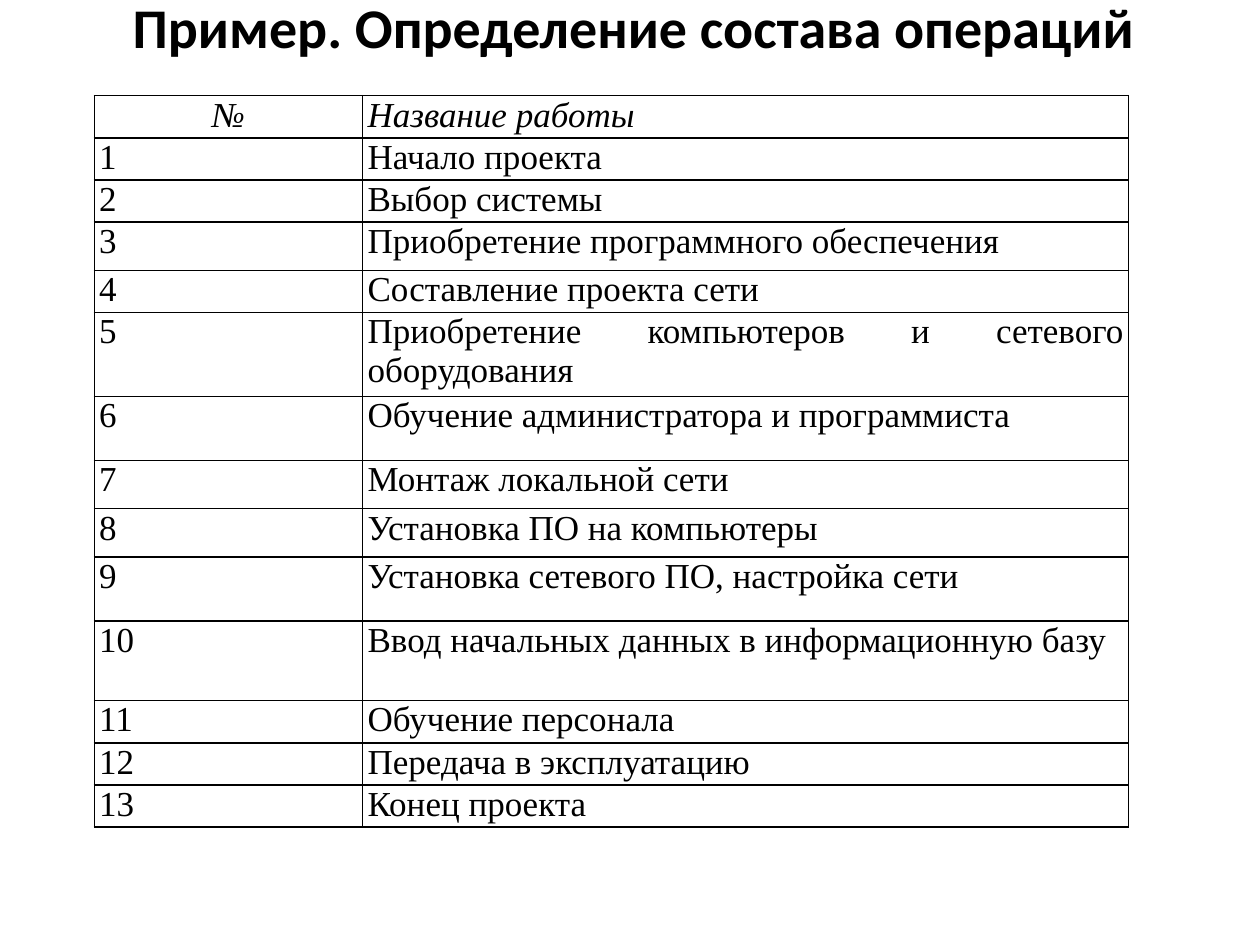
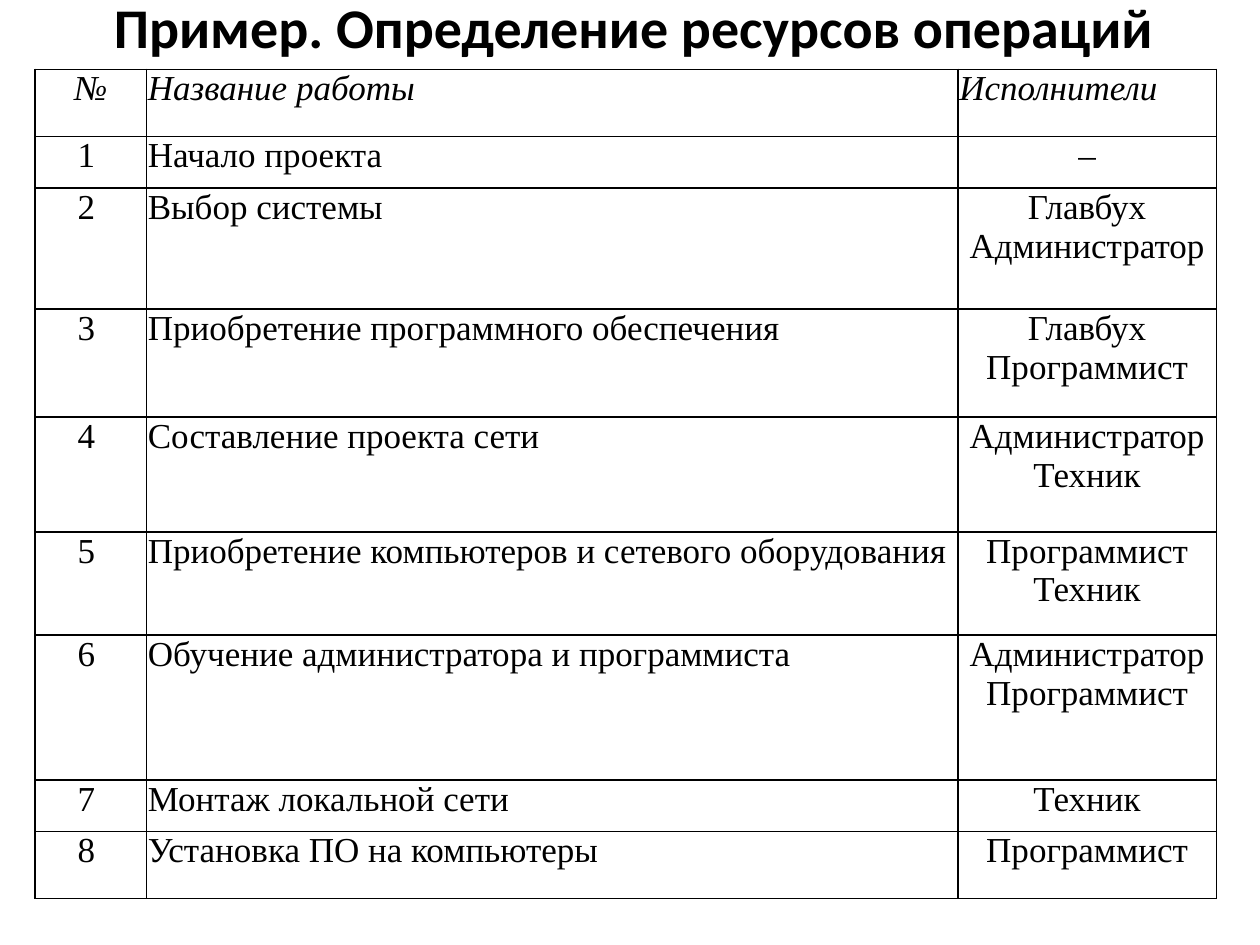
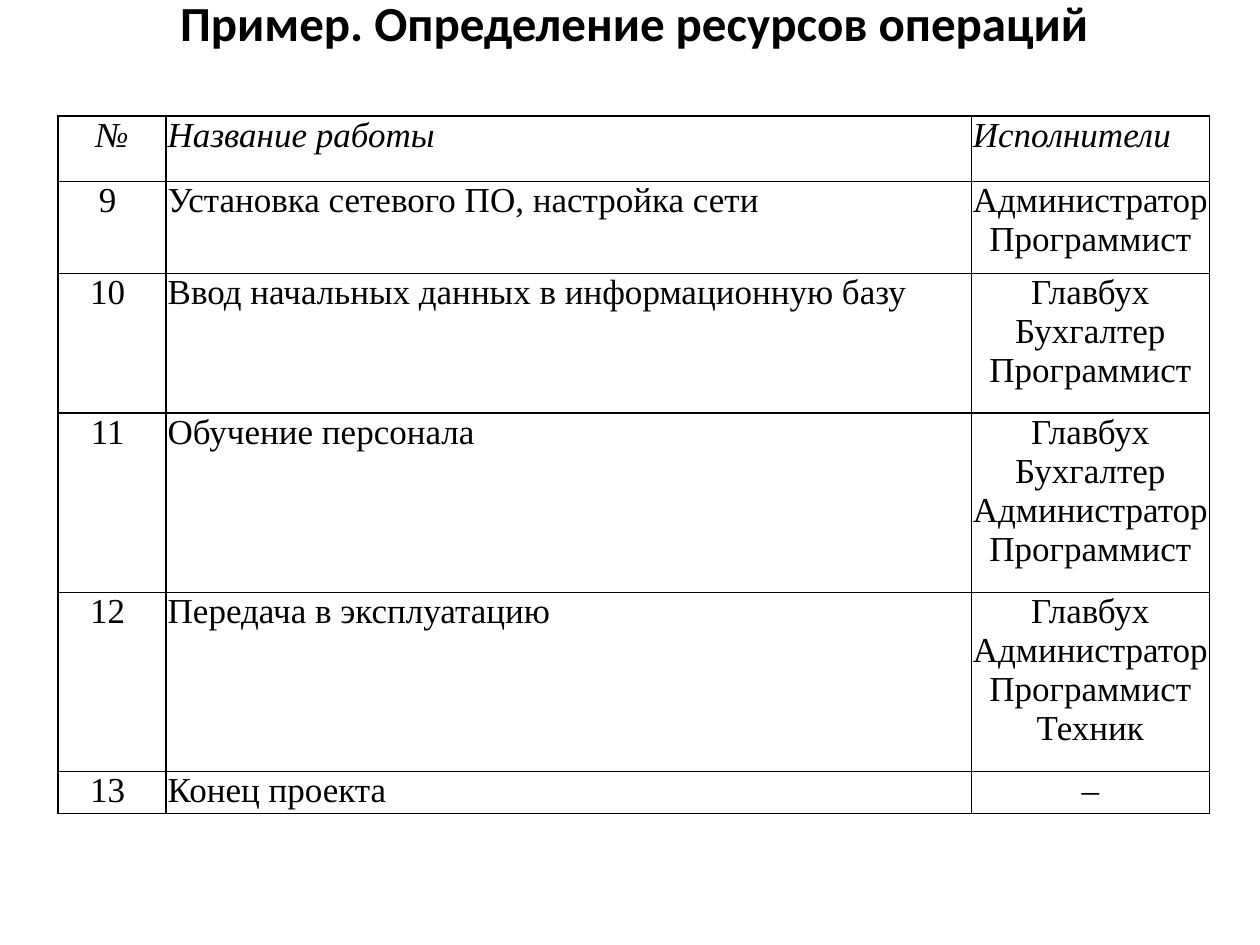
from lxml.etree import SubElement
from pptx import Presentation
from pptx.dml.color import RGBColor
from pptx.enum.text import MSO_ANCHOR, MSO_AUTO_SIZE, PP_ALIGN
from pptx.oxml.ns import qn
from pptx.util import Cm, Pt

BLACK = RGBColor(0x00, 0x00, 0x00)
TITLE_FONT = "Calibri"
TABLE_FONT = "Times New Roman"
TITLE_ONLY_LAYOUT = 5
LINE_ROW = 0.85

HEADINGS = ["№", "Название работы", "Исполнители"]
WORKS = [
    ("Начало проекта", ["–"]),
    ("Выбор системы", ["Главбух", "Администратор"]),
    ("Приобретение программного обеспечения", ["Главбух", "Программист"]),
    ("Составление проекта сети", ["Администратор", "Техник"]),
    ("Приобретение компьютеров и сетевого оборудования", ["Программист", "Техник"]),
    ("Обучение администратора и программиста", ["Администратор", "Программист"]),
    ("Монтаж локальной сети", ["Техник"]),
    ("Установка ПО на компьютеры", ["Программист"]),
    ("Установка сетевого ПО, настройка сети", ["Администратор", "Программист"]),
    ("Ввод начальных данных в информационную базу",
     ["Главбух", "Бухгалтер", "Программист"]),
    ("Обучение персонала",
     ["Главбух", "Бухгалтер", "Администратор", "Программист"]),
    ("Передача в эксплуатацию",
     ["Главбух", "Администратор", "Программист", "Техник"]),
    ("Конец проекта", ["–"]),
]


def write_text(frame, lines, font=TABLE_FONT, size=20, bold=False, italic=False,
               color=BLACK, align=PP_ALIGN.JUSTIFY):
    for index, line in enumerate(lines):
        paragraph = frame.paragraphs[0] if index == 0 else frame.add_paragraph()
        paragraph.alignment = align
        run = paragraph.add_run()
        run.text = line
        run.font.name = font
        run.font.size = Pt(size)
        run.font.bold = bold
        run.font.italic = italic
        run.font.color.rgb = color


def add_titled_slide(deck, heading, size=32, height=1.63):
    slide = deck.slides.add_slide(deck.slide_layouts[TITLE_ONLY_LAYOUT])
    title = slide.shapes.title
    title.left, title.top = Cm(1.5), Cm(-0.28)
    title.width, title.height = Cm(22.56), Cm(height)
    frame = title.text_frame
    frame.word_wrap = True
    frame.auto_size = MSO_AUTO_SIZE.SHAPE_TO_FIT_TEXT
    frame.vertical_anchor = MSO_ANCHOR.TOP
    write_text(frame, [heading], font=TITLE_FONT, size=size, bold=True,
               align=PP_ALIGN.CENTER)
    return slide


def outline_cell(cell, color=BLACK, width=1):
    properties = cell._tc.get_or_add_tcPr()
    for side in ("a:lnL", "a:lnR", "a:lnT", "a:lnB"):
        border = SubElement(properties, qn(side), w=str(Pt(width)))
        fill = SubElement(border, qn("a:solidFill"))
        SubElement(fill, qn("a:srgbClr"), val=str(color))
    cell.fill.background()


def add_work_table(slide, left, top, widths, heights, rows, aligns, inset):
    table = slide.shapes.add_table(
        len(rows), len(widths), Cm(left), Cm(top),
        Cm(sum(widths)), Cm(sum(heights))).table
    table.first_row = False
    table.horz_banding = False
    for column, width in zip(table.columns, widths):
        column.width = Cm(width)
    for row, height in zip(table.rows, heights):
        row.height = Cm(height)
    for row_index, row in enumerate(rows):
        is_heading = row_index == 0
        for column_index, lines in enumerate(row):
            cell = table.cell(row_index, column_index)
            cell.margin_left = cell.margin_right = Cm(inset)
            cell.margin_top = cell.margin_bottom = 0
            outline_cell(cell)
            align = aligns[column_index]
            if is_heading:
                align = PP_ALIGN.JUSTIFY if column_index else PP_ALIGN.CENTER
            write_text(cell.text_frame, lines, italic=is_heading, align=align)


def add_operations_table(slide, left, top, widths, heights):
    rows = [[[heading] for heading in HEADINGS[:2]]]
    rows += [[[str(number)], [work]] for number, (work, _) in enumerate(WORKS, 1)]
    add_work_table(slide, left, top, widths, heights, rows,
                   [PP_ALIGN.JUSTIFY] * 2, inset=0.1)


def add_resources_table(slide, left, top, widths, heights, first, last):
    rows = [[[heading] for heading in HEADINGS]]
    rows += [[[f"{number}\u00a0"], [work], performers]
             for number, (work, performers) in enumerate(WORKS[first - 1:last], first)]
    add_work_table(slide, left, top, widths, heights, rows,
                   [PP_ALIGN.CENTER, PP_ALIGN.JUSTIFY, PP_ALIGN.CENTER], inset=0.03)


def main():
    deck = Presentation()
    deck.slide_width, deck.slide_height = Cm(25.4), Cm(19.05)

    operations = add_titled_slide(deck, "Пример. Определение состава операций")
    add_operations_table(
        operations, 1.9, 1.93, [5.41, 15.44],
        [LINE_ROW] * 3 + [0.97, LINE_ROW, 1.69, 1.29, 0.97, 0.97, 1.29, 1.61]
        + [LINE_ROW] * 3)

    resources_heading = "Пример. Определение ресурсов операций"
    resources = add_titled_slide(deck, resources_heading)
    add_resources_table(
        resources, 0.71, 1.4, [2.24, 16.36, 5.21],
        [1.35, 1.04, 2.44, 2.18, 2.31, 2.08, 2.92, 1.04, 1.35], first=1, last=8)

    more_resources = add_titled_slide(deck, resources_heading, size=28, height=1.45)
    add_resources_table(
        more_resources, 1.17, 2.34, [2.18, 16.23, 4.8],
        [1.32, 1.85, 2.82, 3.61, 3.61, LINE_ROW], first=9, last=13)

    deck.save("out.pptx")


main()
